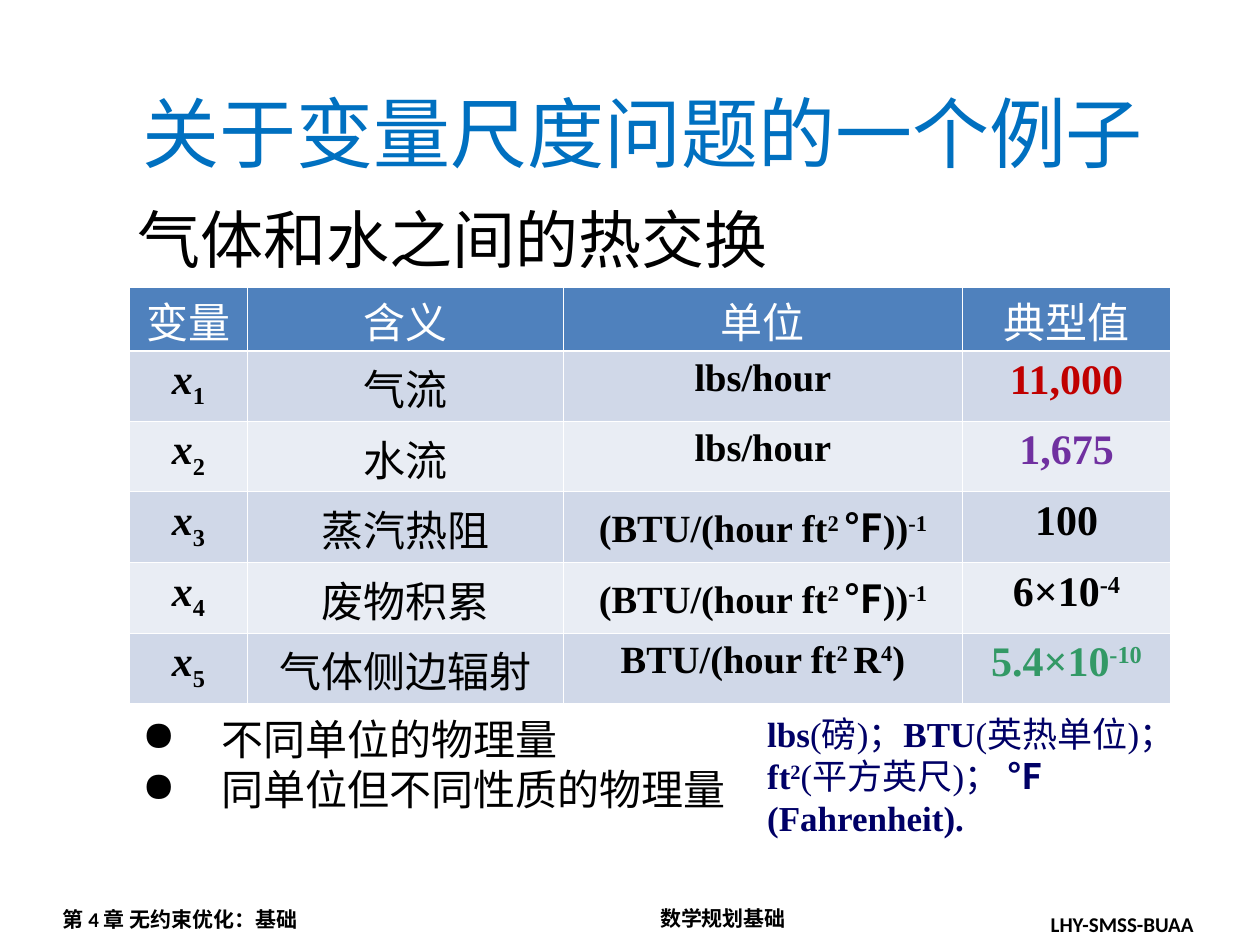
from lxml import etree
from pptx import Presentation, util as u
from pptx.dml.color import RGBColor
from pptx.enum import text
from pptx.oxml import ns

CJK, SERIF, SANS = "Noto Sans CJK SC", "Times New Roman", "Calibri"
BOLD, PLAIN = {"bold": True}, {"bold": False}
SUP = {"bold": True, "base": 30}
SUB = {"bold": True, "base": -25}
VARIABLE = {"bold": True, "italic": True}
FAHRENHEIT = {"bold": True, "font": CJK}

# A paragraph is a list of (text, format) runs.
TITLE = [[("关于变量尺度问题的一个例子", {})]]
SUBTITLE = [[("气体和水之间的热交换", {})]]
POINTS = [[("不同单位的物理量", {})], [("同单位但不同性质的物理量", {})]]
UNIT_NOTES = [
    [("lbs", BOLD), ("(磅)；", PLAIN), ("BTU", BOLD), ("(英热单位)；", PLAIN)],
    [("ft", BOLD), ("2", SUP), ("(平方英尺)；", PLAIN), (" ℉(Fahrenheit).", BOLD)],
]
FOOTERS = [
    ("第 4 章 无约束优化：基础", (0.4, 7.13, 2.47, 0.3)),
    ("LHY-SMSS-BUAA", (8.24, 7.17, 1.72, 0.3)),
    ("数学规划基础", (5.14, 7.12, 2.22, 0.3)),
]

HEADERS = ["变量", "含义", "单位", "典型值"]
FLOW = [("lbs/hour", BOLD)]
RESISTANCE = [("(BTU/(hour ft", BOLD), ("2 ", SUP), ("℉", FAHRENHEIT),
              ("))", BOLD), ("-1", SUP)]
RADIATION = [("BTU/(hour ft", BOLD), ("2 ", SUP), ("R", BOLD), ("4", SUP), (")", BOLD)]
# Meaning, unit, typical value, exponent, colour of the value
ROWS = [
    ("气流", FLOW, "11,000", "", "C00000"),
    ("水流", FLOW, "1,675", "", "7030A0"),
    ("蒸汽热阻", RESISTANCE, "100", "", "000000"),
    ("废物积累", RESISTANCE, "6×10", "-4", "000000"),
    ("气体侧边辐射", RADIATION, "5.4×10", "-10", "339966"),
]
COLUMN_WIDTHS = [0.93, 2.51, 3.17, 1.65]
HEADER_HEIGHT, ROW_HEIGHT = 0.5, 0.56
TABLE_LEFT, TABLE_TOP = 1.03, 2.28
HEADER_FILL, BANDS = "4F81BD", ["D0D8E8", "E9EDF4"]
THIN, THICK = 0.45, 1.47
LINE_SPACING = 1.2


def rgb(value):
    return RGBColor.from_string(value)


def write(paragraph, runs, size, font=SERIF, color="000000", **defaults):
    for content, changes in runs:
        style = {"font": font, "color": color, "bold": False, **defaults, **changes}
        run = paragraph.add_run()
        run.text = content
        run.font.size = u.Pt(size)
        run.font.name = style["font"]
        run.font.bold = style["bold"]
        run.font.italic = style.get("italic", False)
        run.font.color.rgb = rgb(style["color"])
        properties = run.font._element
        etree.SubElement(properties, ns.qn("a:ea"), typeface=CJK)
        if "base" in style:
            properties.set("baseline", str(style["base"] * 1000))


def add_bullet(paragraph, indent):
    properties = paragraph._p.get_or_add_pPr()
    properties.set("marL", str(u.Inches(indent)))
    properties.set("indent", str(-u.Inches(indent)))
    color = etree.SubElement(properties, ns.qn("a:buClr"))
    etree.SubElement(color, ns.qn("a:srgbClr"), val="000000")
    etree.SubElement(properties, ns.qn("a:buChar"), char="●")


def add_text(slide, box, paragraphs, size, indent=0, **style):
    shape = slide.shapes.add_textbox(*map(u.Inches, box))
    frame = shape.text_frame
    frame.word_wrap = True
    frame.auto_size = text.MSO_AUTO_SIZE.NONE
    # Fixed line spacing lifts the first line by about a tenth of its size.
    frame.margin_top = u.Inches(0.05) + u.Pt(size * 0.1)
    frame.margin_bottom = 0
    for number, runs in enumerate(paragraphs):
        paragraph = frame.add_paragraph() if number else frame.paragraphs[0]
        if indent:
            add_bullet(paragraph, indent)
        paragraph.line_spacing = u.Pt(size * LINE_SPACING)
        write(paragraph, runs, size, **style)


def set_borders(cell, top=THIN, bottom=THIN):
    properties = cell._tc.get_or_add_tcPr()
    for side, width in zip("LRTB", (THIN, THIN, top, bottom)):
        line = etree.SubElement(properties, ns.qn("a:ln" + side), w=str(u.Pt(width)))
        fill = etree.SubElement(line, ns.qn("a:solidFill"))
        etree.SubElement(fill, ns.qn("a:srgbClr"), val="FFFFFF")


def fill_cell(cell, runs, size, fill, margin_top=0.05, borders=None, **style):
    set_borders(cell, **(borders or {}))
    cell.fill.solid()
    cell.fill.fore_color.rgb = rgb(fill)
    cell.margin_top, cell.margin_bottom = u.Inches(margin_top), 0
    paragraph = cell.text_frame.paragraphs[0]
    paragraph.alignment = text.PP_ALIGN.CENTER
    write(paragraph, runs, size, **style)


def add_variable_table(slide):
    heights = [HEADER_HEIGHT] + [ROW_HEIGHT] * len(ROWS)
    box = (TABLE_LEFT, TABLE_TOP, sum(COLUMN_WIDTHS), sum(heights))
    table = slide.shapes.add_table(
        len(heights), len(COLUMN_WIDTHS), *map(u.Inches, box)).table
    for column, width in zip(table.columns, COLUMN_WIDTHS):
        column.width = u.Inches(width)
    for row, height in zip(table.rows, heights):
        row.height = u.Inches(height)

    for column, header in enumerate(HEADERS):
        fill_cell(table.cell(0, column), [(header, {})], 24, HEADER_FILL,
                  margin_top=0.02, borders={"bottom": THICK}, font=CJK, color="FFFFFF")
    for number, (meaning, unit, value, exponent, color) in enumerate(ROWS, 1):
        typical = [(value, BOLD)] + ([(exponent, SUP)] if exponent else [])
        cells = [
            ([("x", VARIABLE), (str(number), SUB)], 24, {}),
            ([(meaning, {})], 24, {"font": CJK}),
            (unit, 22, {}),
            (typical, 24, {"color": color}),
        ]
        borders = {"top": THICK if number == 1 else THIN}
        for column, (runs, size, style) in enumerate(cells):
            fill_cell(table.cell(number, column), runs, size,
                      BANDS[(number - 1) % 2], borders=borders, **style)


def main():
    presentation = Presentation()
    presentation.slide_width, presentation.slide_height = u.Inches(10), u.Inches(7.5)
    slide = presentation.slides.add_slide(presentation.slide_layouts[6])
    for label, box in FOOTERS:
        add_text(slide, box, [[(label, BOLD)]], 12, font=SANS)
    add_variable_table(slide)
    add_text(slide, (1.03, 0.57, 8.26, 0.84), TITLE, 44, font=CJK, color="0070C0")
    add_text(slide, (0.99, 1.49, 6.04, 0.7), SUBTITLE, 36, font=CJK)
    add_text(slide, (1.03, 5.58, 5.25, 0.9), POINTS, 24, indent=0.63, font=CJK)
    add_text(slide, (5.99, 5.58, 3.44, 1.44), UNIT_NOTES, 20, color="000066")
    presentation.save("out.pptx")


if __name__ == "__main__":
    main()
